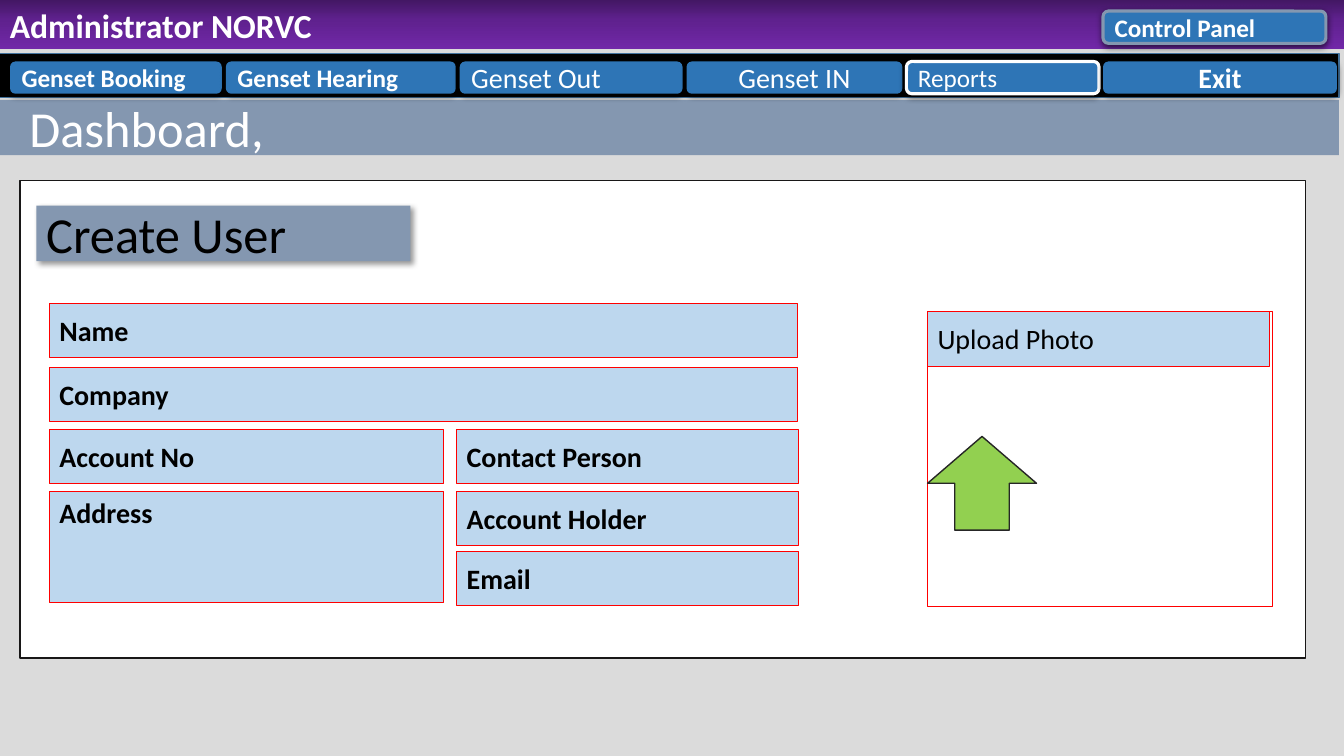
"""Build the generator-rental administrator screen for creating a user."""
import copy
from dataclasses import dataclass
from typing import Optional

import pptx
import pptx.dml.color
import pptx.enum.shapes
import pptx.enum.text
import pptx.oxml.ns
import pptx.util
from lxml import etree

PX = 9144
SHAPE = pptx.enum.shapes.MSO_SHAPE
ALIGN = pptx.enum.text.PP_ALIGN
ANCHOR = pptx.enum.text.MSO_ANCHOR
qn = pptx.oxml.ns.qn
WHITE, BLACK, SLATE, RED = "FFFFFF", "000000", "8497B0", "FF0000"
BUTTON_BLUE, FIELD_BLUE = "2E75B6", "BDD7EE"
NAV_LEFT, NAV_TOP, NAV_GAP, BUTTON_HEIGHT = 10, 61, 4, 32
FIELD_HEIGHT = 54


@dataclass(frozen=True)
class Shadow:
    """An outer shadow: opacity in percent, blur and distance in points."""
    opacity: int
    blur: float
    distance: float
    angle: int


@dataclass(frozen=True)
class Label:
    """The text of a box and how it is set."""
    text: str
    size: int
    color: str = WHITE
    bold: bool = False
    align: ALIGN = ALIGN.LEFT
    anchor: ANCHOR = ANCHOR.MIDDLE
    inset: int = 10


@dataclass(frozen=True)
class Box:
    """A filled shape with optional outline, shadow and label."""
    left: int
    top: int
    width: int
    height: int
    fill: str
    line: Optional[str] = None
    weight: float = 1
    kind: SHAPE = SHAPE.RECTANGLE
    shadow: Optional[Shadow] = None
    label: Optional[Label] = None


@dataclass(frozen=True)
class NavItem:
    """One button of the navigation bar."""
    width: int
    label: Label
    line: Optional[str] = None


@dataclass(frozen=True)
class Field:
    """One field of the form."""
    text: str
    left: int
    top: int
    width: int
    height: int = FIELD_HEIGHT
    bold: bool = True
    anchor: ANCHOR = ANCHOR.MIDDLE


BUTTON_SHADOW = Shadow(63, 4.5, 1.5, 90)
HEADING_SHADOW = Shadow(40, 4, 3, 45)

NAV_ITEMS = [
    NavItem(210, Label("Genset Booking", 18, bold=True, align=ALIGN.JUSTIFY)),
    NavItem(228, Label("Genset Hearing", 18, bold=True, align=ALIGN.JUSTIFY)),
    NavItem(221, Label("Genset Out", 20)),
    NavItem(214, Label("Genset IN", 20, align=ALIGN.CENTER)),
    NavItem(191, Label("Reports", 18), WHITE),
    NavItem(232, Label("Exit", 20, bold=True, align=ALIGN.CENTER)),
]

FIELDS = [
    Field("Name", 49, 301, 742),
    Field("Company", 49, 364, 742),
    Field("Account No", 49, 426, 391),
    Field("Address", 49, 487, 391, 111, anchor=ANCHOR.TOP),
    Field("Contact Person", 453, 426, 339),
    Field("Account Holder", 453, 487, 339),
    Field("Email", 453, 547, 339),
]
UPLOAD_FIELD = Field("Upload Photo", 920, 309, 339, bold=False)

PANEL = Box(20, 179, 1275, 474, WHITE, "181717")
DASHBOARD = Box(0, 99, 1328, 55, SLATE, label=Label("Dashboard,", 36, inset=29))
NAV_BAR = Box(-1, 53, 1329, 44, BLACK, "43739E")
TITLE_BAR = Box(0, 0, 1333, 49, "5F218E",
                label=Label("Administrator NORVC", 24, bold=True))
HEADING = Box(36, 204, 371, 55, SLATE, shadow=HEADING_SHADOW,
              label=Label("Create User", 36, BLACK))
PHOTO_FRAME = Box(920, 309, 342, 293, WHITE, RED, 0.5, SHAPE.FLOWCHART_PROCESS)
UPLOAD_ARROW = Box(920, 433, 108, 93, "92D050", "262626", kind=SHAPE.UP_ARROW)
TITLE_STOPS = [(0, "431764"), (0.41, "5F218E"), (1, "7128A8")]


def rgb(value: str) -> pptx.dml.color.RGBColor:
    """Return the colour for a hex string."""
    return pptx.dml.color.RGBColor.from_string(value)


def add_shadow(sp, shadow: Shadow) -> None:
    """Give a shape a black outer shadow."""
    effects = sp._element.spPr.find(qn("a:effectLst"))
    outer = etree.SubElement(
        effects, qn("a:outerShdw"), blurRad=str(pptx.util.Pt(shadow.blur)),
        dist=str(pptx.util.Pt(shadow.distance)), dir=str(shadow.angle * 60000),
        algn="ctr", rotWithShape="0")
    color = etree.SubElement(outer, qn("a:srgbClr"), val=BLACK)
    etree.SubElement(color, qn("a:alpha"), val=str(shadow.opacity * 1000))


def set_label(sp, label: Label) -> None:
    """Write a label into a shape."""
    tf = sp.text_frame
    tf.text = label.text
    tf.word_wrap = True
    tf.vertical_anchor = label.anchor
    tf.margin_left = label.inset * PX
    p = tf.paragraphs[0]
    p.alignment = label.align
    font = p.runs[0].font
    font.name = "Calibri"
    font.size = pptx.util.Pt(label.size)
    font.bold = label.bold
    font.color.rgb = rgb(label.color)


def add_box(s, box: Box):
    """Draw a box and return its shape."""
    sp = s.shapes.add_shape(box.kind, box.left * PX, box.top * PX,
                            box.width * PX, box.height * PX)
    sp.shadow.inherit = False
    sp.fill.solid()
    sp.fill.fore_color.rgb = rgb(box.fill)
    if box.line:
        sp.line.color.rgb = rgb(box.line)
        sp.line.width = pptx.util.Pt(box.weight)
    else:
        sp.line.fill.background()
    if box.shadow:
        add_shadow(sp, box.shadow)
    if box.label:
        set_label(sp, box.label)
    return sp


def set_gradient(sp, stops: list[tuple[float, str]]) -> None:
    """Fill a shape with a gradient from top to bottom."""
    sp.fill.gradient()
    sp.fill.gradient_angle = 270
    stop_list = sp._element.spPr.find(".//" + qn("a:gsLst"))
    while len(stop_list) < len(stops):
        stop_list.append(copy.deepcopy(stop_list[0]))
    for stop, (position, color) in zip(sp.fill.gradient_stops, stops):
        stop.position = position
        stop.color.rgb = rgb(color)


def add_button(s, left: int, top: int, item: NavItem) -> None:
    """Draw a rounded button."""
    add_box(s, Box(left, top, item.width, BUTTON_HEIGHT, BUTTON_BLUE, item.line,
                   2.25, SHAPE.ROUNDED_RECTANGLE, BUTTON_SHADOW, item.label))


def add_field(s, field: Field) -> None:
    """Draw a form field."""
    label = Label(field.text, 20, BLACK, field.bold, anchor=field.anchor)
    add_box(s, Box(field.left, field.top, field.width, field.height, FIELD_BLUE,
                   RED, 0.5, SHAPE.FLOWCHART_PROCESS, label=label))


def main() -> None:
    """Build and save the slide."""
    prs = pptx.Presentation()
    prs.slide_width, prs.slide_height = 1333 * PX, 750 * PX
    s = prs.slides.add_slide(prs.slide_layouts[6])
    s.background.fill.solid()
    s.background.fill.fore_color.rgb = rgb("DBDBDB")
    for box in (PANEL, DASHBOARD, NAV_BAR):
        add_box(s, box)
    left = NAV_LEFT
    for item in NAV_ITEMS:
        add_button(s, left, NAV_TOP, item)
        left += item.width + NAV_GAP
    set_gradient(add_box(s, TITLE_BAR), TITLE_STOPS)
    add_button(s, 1094, 11, NavItem(221, Label("Control Panel", 18, bold=True), SLATE))
    add_box(s, HEADING)
    for field in FIELDS:
        add_field(s, field)
    add_box(s, PHOTO_FRAME)
    add_field(s, UPLOAD_FIELD)
    add_box(s, UPLOAD_ARROW)
    prs.save("out.pptx")


if __name__ == "__main__":
    main()
